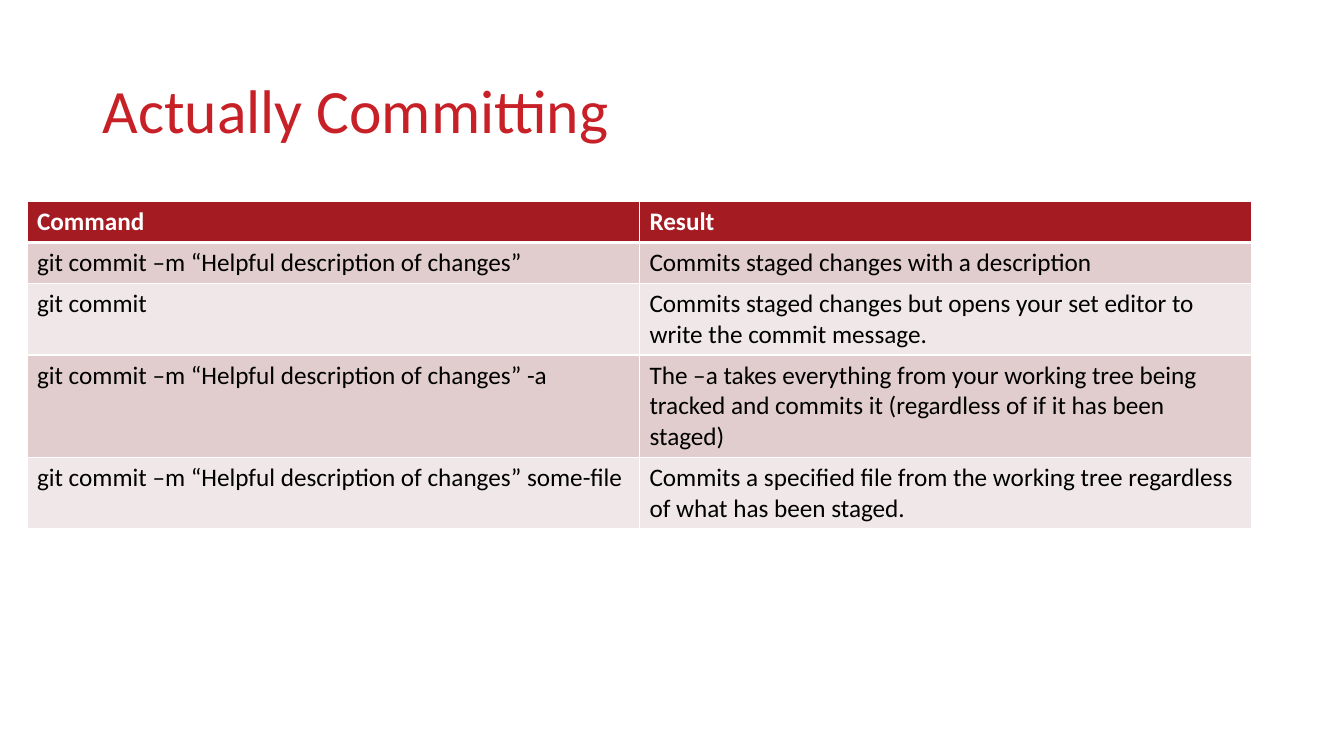
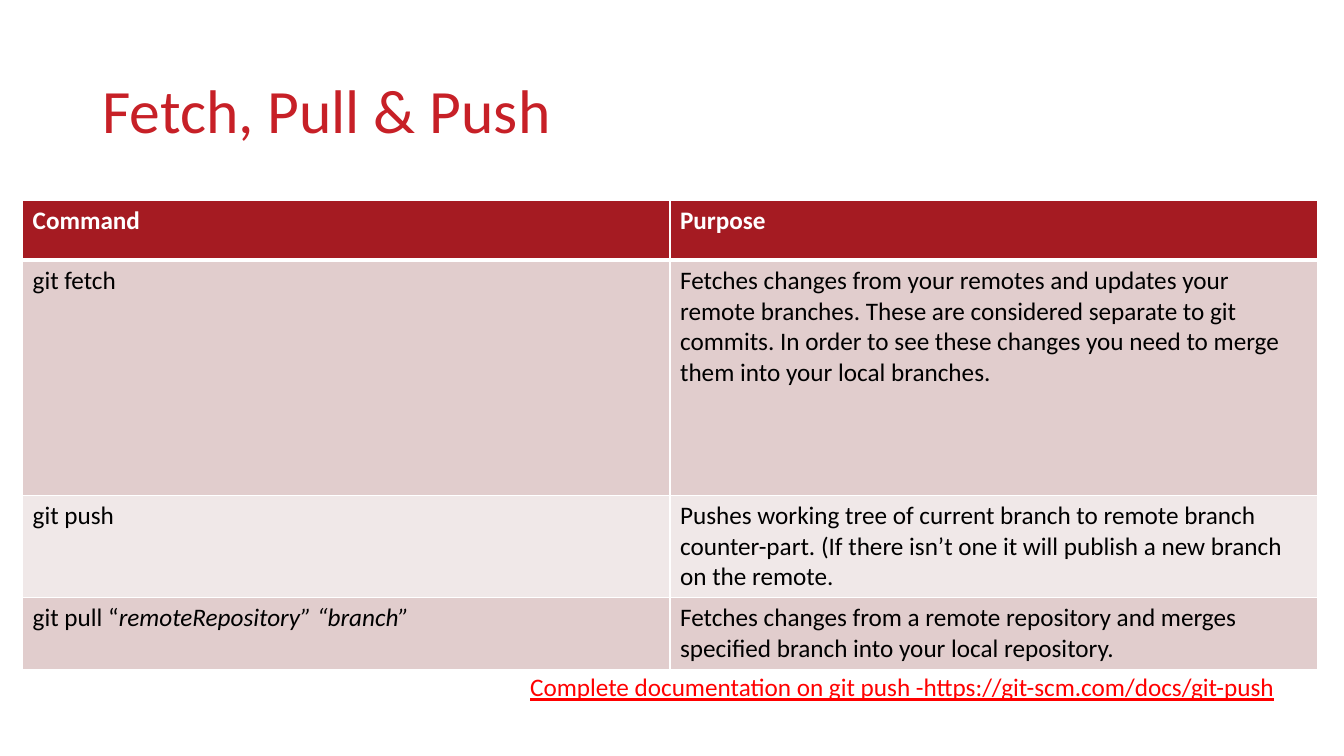
from lxml import etree
from pptx import Presentation
from pptx import util as u
from pptx.dml import color
from pptx.enum import text
from pptx.oxml import ns

FACE = "Calibri"
RED, DARK, LINK = "C72027", "A51B22", "FF0000"
WHITE, BLACK = "FFFFFF", "000000"
BANDS = "E1CDCD", "F0E8E8"

COMMIT = [
    ("Command", "Result"),
    ("git commit –m “Helpful description of changes”",
     "Commits staged changes with a description"),
    ("git commit",
     "Commits staged changes but opens your set editor to write the commit message."),
    ("git commit –m “Helpful description of changes” -a",
     "The –a takes everything from your working tree being tracked and commits it "
     "(regardless of if it has been staged)"),
    ("git commit –m “Helpful description of changes” some-file",
     "Commits a specified file from the working tree regardless of what has been staged."),
]
REMOTE = [
    ("Command", "Purpose"),
    ("git fetch",
     "Fetches changes from your remotes and updates your remote branches. "
     "These are considered separate to git commits. In order to see these changes "
     "you need to merge them into your local branches."),
    ("git push",
     "Pushes working tree of current branch to remote branch counter-part. "
     "(If there isn’t one it will publish a new branch on the remote."),
    ("git pull “",
     "Fetches changes from a remote repository and merges specified branch "
     "into your local repository."),
]


def rgb(code):
    return color.RGBColor.from_string(code)


def style(run, size, tint, bold=False):
    font = run.font
    font.name, font.size, font.bold = FACE, u.Pt(size), bold
    font.color.rgb = rgb(tint)


def edge(cell, sides):
    props = cell._tc.get_or_add_tcPr()
    for spot, (side, width) in enumerate(sides.items()):
        line = etree.Element(ns.qn(f"a:ln{side}"), w=str(u.Pt(width)))
        fill = etree.SubElement(line, ns.qn("a:solidFill"))
        etree.SubElement(fill, ns.qn("a:srgbClr"), val=WHITE)
        props.insert(spot, line)


def add_page(deck, name):
    page = deck.slides.add_slide(deck.slide_layouts[5])
    title = page.shapes.title
    title.left, title.top = u.Cm(2.33), u.Cm(1.01)
    title.width, title.height = u.Cm(25.1), u.Cm(3.68)
    frame = title.text_frame
    frame.text = name
    frame.auto_size = text.MSO_AUTO_SIZE.NONE
    frame.vertical_anchor = text.MSO_ANCHOR.MIDDLE
    para = frame.paragraphs[0]
    para.alignment = text.PP_ALIGN.LEFT
    para.line_spacing = 0.9
    style(para.runs[0], 44, RED)
    return page


def add_grid(page, left, top, width, rows, highs):
    box = page.shapes.add_table(len(rows), 2, u.Cm(left), u.Cm(top),
                                u.Cm(width), u.Cm(sum(highs)))
    grid = box.table
    for col in grid.columns:
        col.width = u.Cm(width / 2)
    for i, (row, high) in enumerate(zip(rows, highs)):
        grid.rows[i].height = u.Cm(high)
        head = i == 0
        for j, words in enumerate(row):
            cell = grid.cell(i, j)
            cell.text_frame.text = words
            style(cell.text_frame.paragraphs[0].runs[0], 18,
                  WHITE if head else BLACK, head)
            cell.fill.solid()
            cell.fill.fore_color.rgb = rgb(DARK if head else BANDS[(i - 1) % 2])
            edge(cell, {"L": 1, "R": 1, "T": 3 if i == 1 else 1,
                        "B": 3 if head else 1})
    return grid


def add_note(page, left, top, width, high, words):
    box = page.shapes.add_textbox(u.Cm(left), u.Cm(top), u.Cm(width), u.Cm(high))
    frame = box.text_frame
    frame.word_wrap = True
    frame.text = words
    run = frame.paragraphs[0].runs[0]
    style(run, 18, LINK)
    run.font.underline = True


def main():
    deck = Presentation()
    deck.slide_width, deck.slide_height = u.Cm(33.87), u.Cm(19.05)

    page = add_page(deck, "Actually Committing")
    add_grid(page, 0.68, 5.08, 30.87, COMMIT, [1.03] * 5)

    page = add_page(deck, "Fetch, Pull & Push")
    grid = add_grid(page, 0.57, 5.06, 32.63, REMOTE, [1.5, 5.92, 1.5, 1.5])
    run = grid.cell(3, 0).text_frame.paragraphs[0].add_run()
    run.text = "remoteRepository” “branch”"
    style(run, 18, BLACK)
    run.font.italic = True
    add_note(page, 13.11, 16.8, 19.74, 1.03,
             "Complete documentation on git push -https://git-scm.com/docs/git-push")

    deck.save("out.pptx")


if __name__ == "__main__":
    main()
